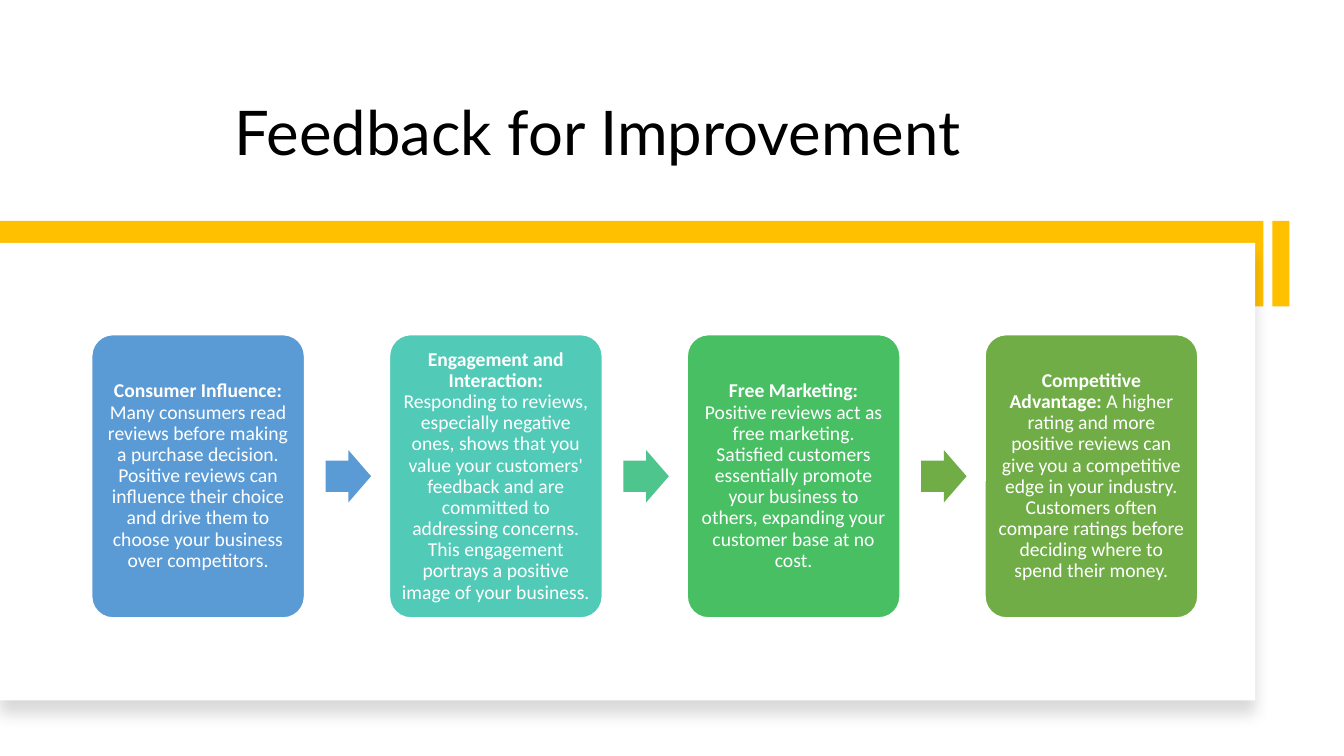
import pptx
import pptx.dml.color
import pptx.enum.shapes
import pptx.enum.text
import pptx.oxml
import pptx.oxml.ns
import pptx.util
from pptx.util import Inches, Pt

RGBColor = pptx.dml.color.RGBColor
MSO_SHAPE = pptx.enum.shapes.MSO_SHAPE
PP_ALIGN = pptx.enum.text.PP_ALIGN
MSO_ANCHOR = pptx.enum.text.MSO_ANCHOR

BLACK = RGBColor(0x00, 0x00, 0x00)
WHITE = RGBColor(0xFF, 0xFF, 0xFF)
GOLD = RGBColor(0xFF, 0xC0, 0x00)
BLUE = RGBColor(0x5B, 0x9B, 0xD5)
TEAL = RGBColor(0x52, 0xCA, 0xB8)
SEA_GREEN = RGBColor(0x4D, 0xC5, 0x8D)
GREEN = RGBColor(0x49, 0xBF, 0x64)
OLIVE = RGBColor(0x70, 0xAD, 0x47)

# Heading, body, card colour, colour of the arrow that follows
STEPS = [
    ("Consumer Influence:",
     " Many consumers read reviews before making a purchase decision. Positive reviews can "
     "influence their choice and drive them to choose your business over competitors.",
     BLUE, BLUE),
    ("Engagement and Interaction:",
     " Responding to reviews, especially negative ones, shows that you value your customers' "
     "feedback and are committed to addressing concerns. This engagement portrays a positive "
     "image of your business.",
     TEAL, SEA_GREEN),
    ("Free Marketing:",
     " Positive reviews act as free marketing. Satisfied customers essentially promote your "
     "business to others, expanding your customer base at no cost.",
     GREEN, OLIVE),
    ("Competitive Advantage:",
     " A higher rating and more positive reviews can give you a competitive edge in your "
     "industry. Customers often compare ratings before deciding where to spend their money.",
     OLIVE, None),
]


def add_filled(slide, preset, left, top, width, height, color):
    """Add a preset shape, measured in inches, with a plain fill and no outline."""
    shape = slide.shapes.add_shape(
        preset, Inches(left), Inches(top), Inches(width), Inches(height))
    shape.shadow.inherit = False
    shape.fill.solid()
    shape.fill.fore_color.rgb = color
    shape.line.fill.background()
    return shape


def add_soft_shadow(shape):
    effects = shape._element.spPr.find(pptx.oxml.ns.qn("a:effectLst"))
    effects.append(pptx.oxml.parse_xml(
        f'<a:outerShdw {pptx.oxml.ns.nsdecls("a")} blurRad="{Pt(11)}" dist="{Pt(10)}" '
        'dir="5400000" algn="t" rotWithShape="0"><a:srgbClr val="000000">'
        '<a:alpha val="15000"/></a:srgbClr></a:outerShdw>'))


def style_run(run, font_name, size, color, bold=False):
    run.font.name = font_name
    run.font.size = Pt(size)
    run.font.color.rgb = color
    run.font.bold = bold


def add_title(slide, left, top, width, height):
    title = slide.shapes.add_textbox(
        Inches(left), Inches(top), Inches(width), Inches(height))
    frame = title.text_frame
    frame.word_wrap = True
    frame.vertical_anchor = MSO_ANCHOR.BOTTOM
    frame.text = "Feedback for Improvement"
    paragraph = frame.paragraphs[0]
    paragraph.alignment = PP_ALIGN.CENTER
    paragraph.line_spacing = 0.9
    style_run(paragraph.runs[0], "Lato", 44, BLACK)


def add_backdrop(slide, left, top, width, height):
    """Place the gold band with its end tab, and the white panel over it."""
    band_height, tab_width = 0.85, 0.17
    panel_inset, panel_drop = 0.08, 0.22
    add_filled(slide, MSO_SHAPE.RECTANGLE, left + width - tab_width, top,
               tab_width, band_height, GOLD)
    band_width = width - tab_width - 0.09
    add_filled(slide, MSO_SHAPE.RECTANGLE, left, top, band_width, band_height, GOLD)
    panel = add_filled(slide, MSO_SHAPE.RECTANGLE, left, top + panel_drop,
                       band_width - panel_inset, height - panel_drop, WHITE)
    add_soft_shadow(panel)


def add_card(slide, left, top, width, height, heading, body, color):
    card = add_filled(slide, MSO_SHAPE.ROUNDED_RECTANGLE, left, top, width, height, color)
    card.adjustments[0] = 0.1
    card.line.color.rgb = WHITE
    card.line.width = Pt(1)
    frame = card.text_frame
    frame.word_wrap = True
    frame.vertical_anchor = MSO_ANCHOR.MIDDLE
    frame.margin_left = frame.margin_right = Inches(0.06)
    frame.margin_top = frame.margin_bottom = Inches(0.06)
    paragraph = frame.paragraphs[0]
    paragraph.alignment = PP_ALIGN.CENTER
    paragraph.line_spacing = 0.9
    for text, bold in ((heading, True), (body, False)):
        run = paragraph.add_run()
        run.text = text
        style_run(run, "Calibri", 14, WHITE, bold)


def add_process(slide, left, top, width, height):
    """Spread the step cards evenly over the box, with arrows in the gaps."""
    card_width, arrow_width, arrow_height, arrow_gap = 2.11, 0.45, 0.52, 0.21
    pitch = (width - card_width) / (len(STEPS) - 1)
    for index, (heading, body, card_color, arrow_color) in enumerate(STEPS):
        card_left = left + index * pitch
        add_card(slide, card_left, top, card_width, height, heading, body, card_color)
        if arrow_color is not None:
            arrow = add_filled(
                slide, MSO_SHAPE.RIGHT_ARROW, card_left + card_width + arrow_gap,
                top + (height - arrow_height) / 2, arrow_width, arrow_height, arrow_color)
            arrow.adjustments[0] = 0.6
            arrow.adjustments[1] = 0.5


def main():
    presentation = pptx.Presentation()
    presentation.slide_width = Inches(13.33)
    presentation.slide_height = Inches(7.5)
    slide = presentation.slides.add_slide(presentation.slide_layouts[6])
    add_title(slide, 0.88, 0.42, 10.1, 1.3)
    add_backdrop(slide, 0, 2.19, 12.79, 4.76)
    add_process(slide, 0.91, 3.32, 10.97, 2.81)
    presentation.save("out.pptx")


if __name__ == "__main__":
    main()
